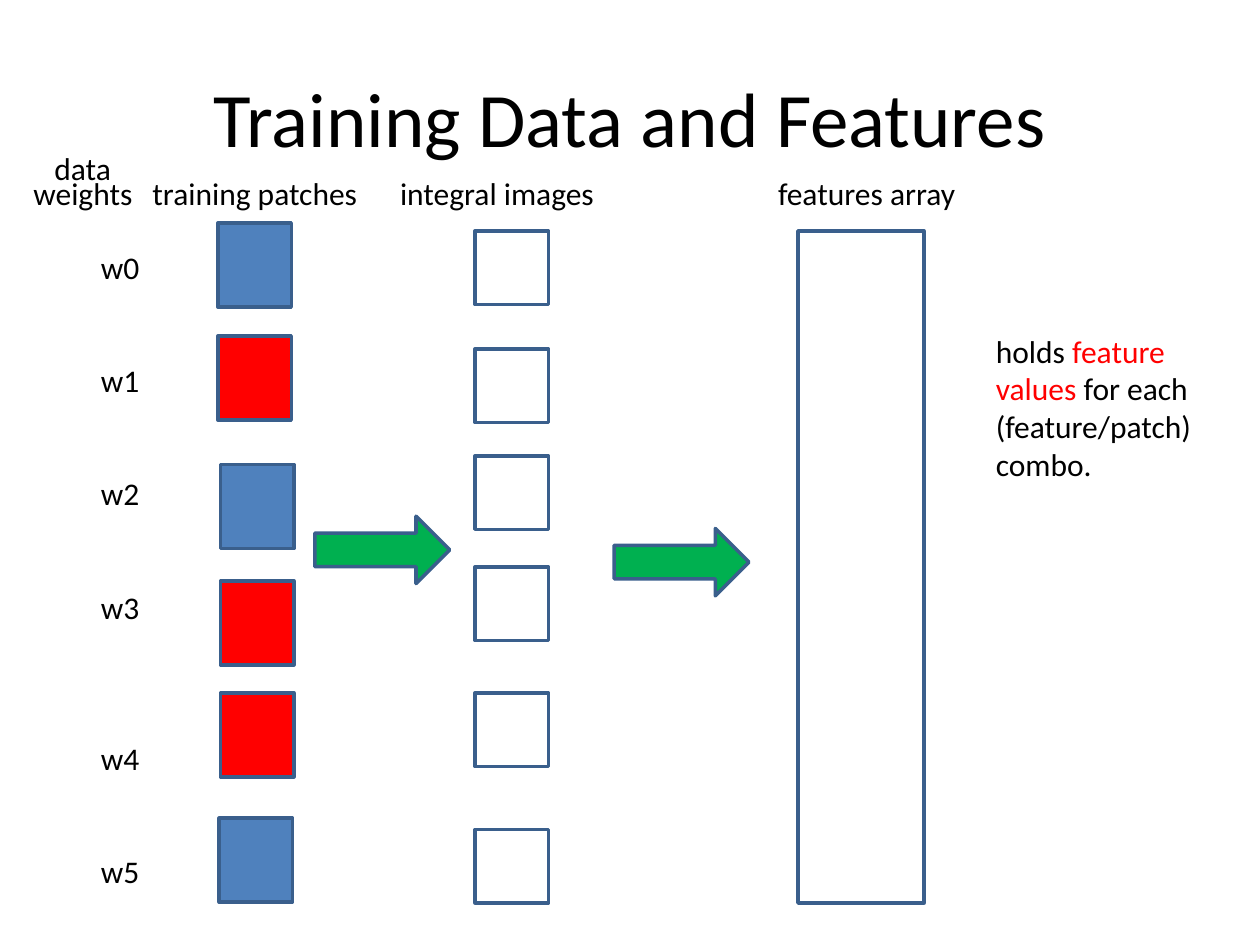
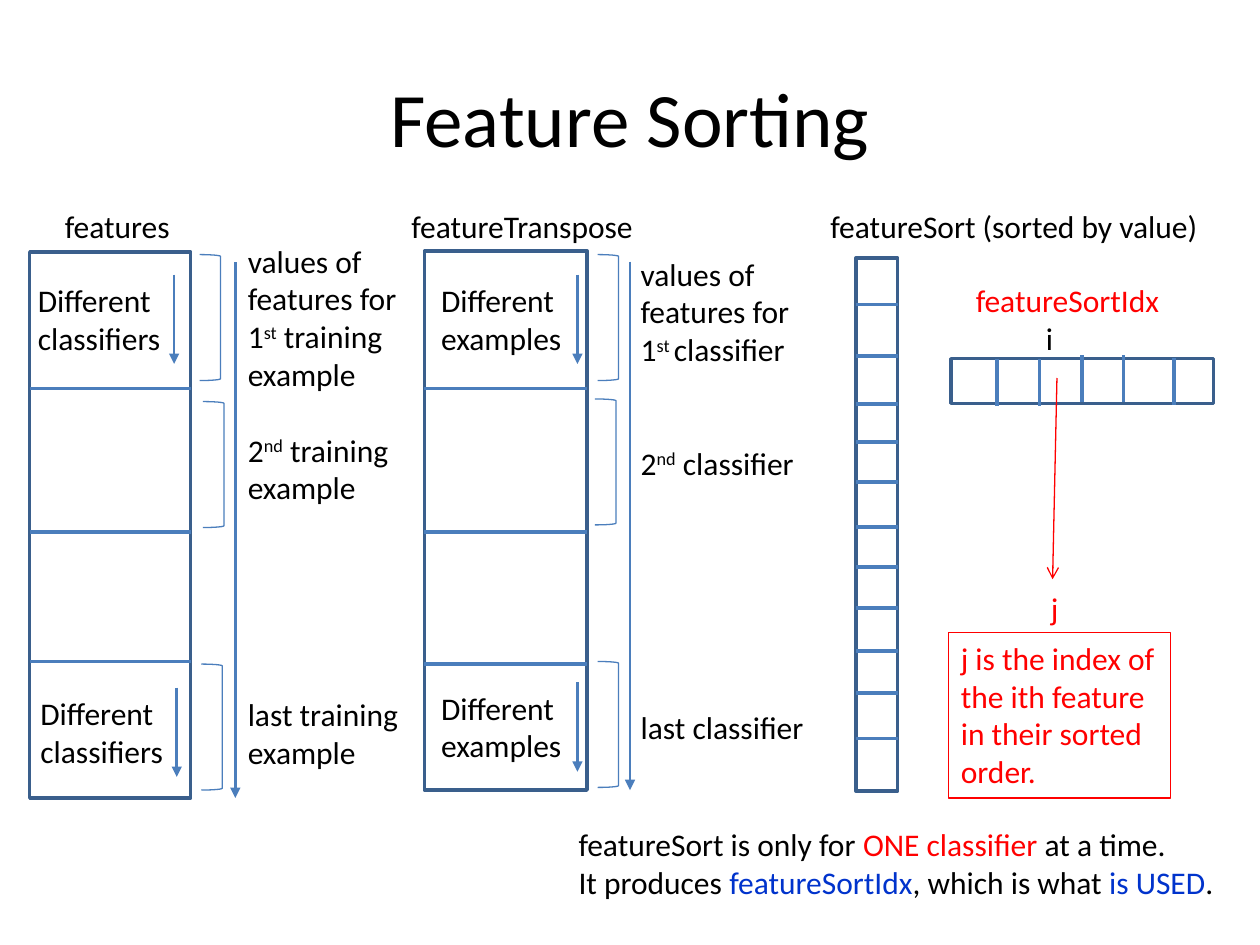
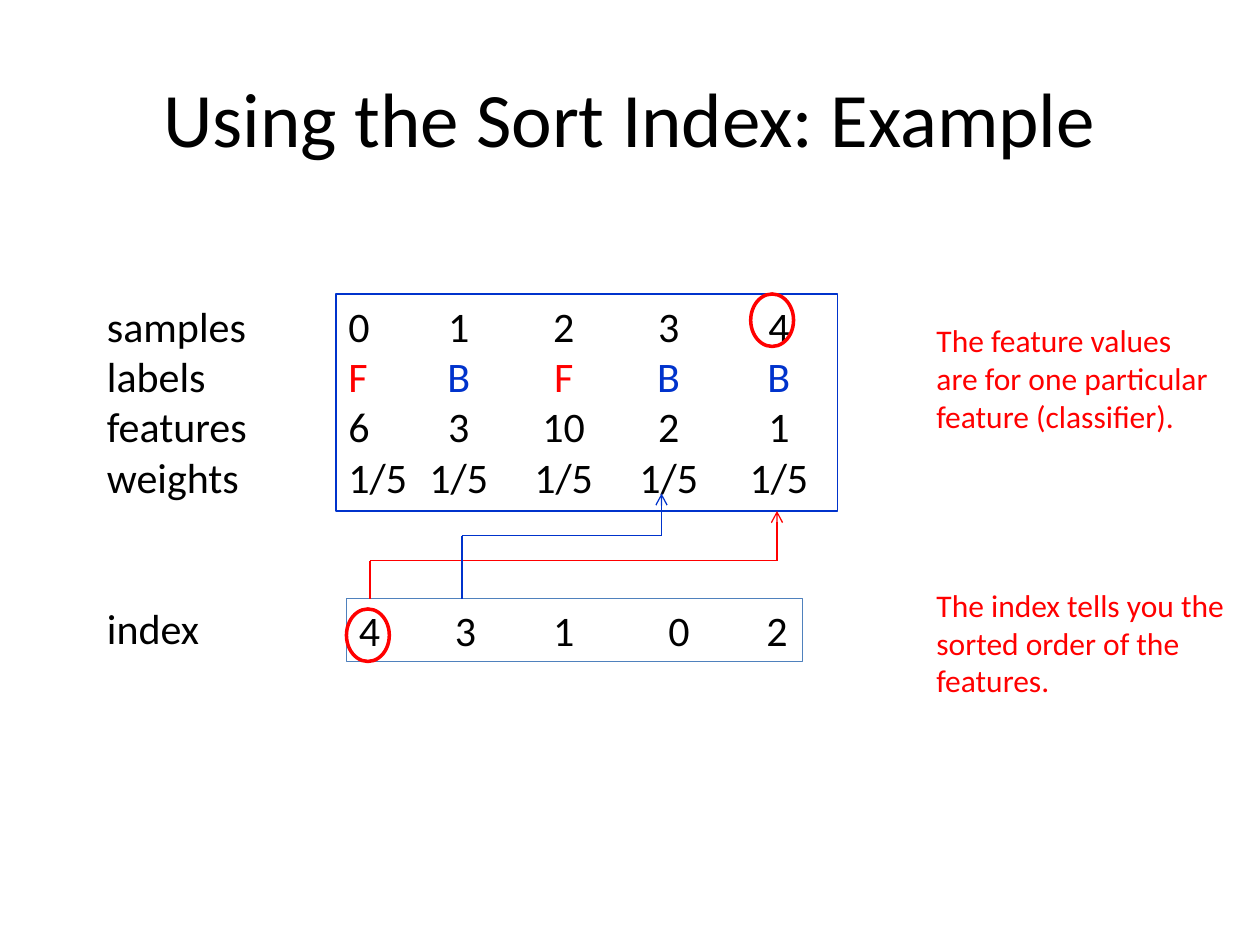
from itertools import pairwise

from lxml.etree import SubElement
from pptx import Presentation
from pptx.dml.color import RGBColor
from pptx.enum.shapes import MSO_CONNECTOR, MSO_SHAPE
from pptx.oxml.ns import qn
from pptx.util import Pt

COLORS = {
    "black": "000000",
    "red": "FF0000",
    "blue": "0033CC",
    "patch": "4F81BD",
    "outline": "3A5F8C",
    "rule": "4B7EBC",
    "green": "00B050",
}
FONT = "Calibri"
TITLE_SIZE, TEXT_SIZE, TABLE_SIZE = 44, 18, 24
LINE_HEIGHT = 1.2


def rgb(name):
    return RGBColor.from_string(COLORS[name])


# Shared helpers
def add_titled_slide(presentation, title):
    slide = presentation.slides.add_slide(presentation.slide_layouts[5])
    shape = slide.shapes.title
    shape.left, shape.top, shape.width, shape.height = Pt(36), Pt(21.6), Pt(648), Pt(90)
    shape.text_frame.text = title
    style_font(shape.text_frame.paragraphs[0].font, TITLE_SIZE, "black")
    return slide


def style_font(font, size, color):
    font.name = FONT
    font.size = Pt(size)
    font.color.rgb = rgb(color)


def add_tabs(paragraph, stops, alignment):
    tab_list = SubElement(paragraph._p.get_or_add_pPr(), qn("a:tabLst"))
    for stop in stops:
        SubElement(tab_list, qn("a:tab"), pos=str(int(Pt(stop))), algn=alignment)


def add_text(slide, left, top, width, height, lines, size=TEXT_SIZE, color="black",
             tabs=(), alignment="l", border=None):
    """Each line is a string or a list of (text, color, raised); a number leaves that many lines free."""
    box = slide.shapes.add_textbox(Pt(left), Pt(top), Pt(width), Pt(height))
    if border:
        box.line.color.rgb = rgb(border)
        box.line.width = Pt(0.75)
    frame = box.text_frame
    frame.word_wrap = True
    frame.margin_right = 0
    gap, paragraph = 0, None
    for line in lines:
        if isinstance(line, int):
            gap = line
            continue
        paragraph = frame.add_paragraph() if paragraph else frame.paragraphs[0]
        if tabs:
            add_tabs(paragraph, tabs, alignment)
        if gap:
            paragraph.space_before = Pt(gap * size * LINE_HEIGHT)
            gap = 0
        style_font(paragraph.font, size, color)
        for text, run_color, raised in [(line, color, False)] if isinstance(line, str) else line:
            run = paragraph.add_run()
            run.text = text
            if run_color != color:
                run.font.color.rgb = rgb(run_color)
            if raised:
                run._r.get_or_add_rPr().set("baseline", "30000")
    return box


def add_figure(slide, kind, left, top, width, height, fill=None, line="outline", weight=2):
    shape = slide.shapes.add_shape(kind, Pt(left), Pt(top), Pt(width), Pt(height))
    shape.shadow.inherit = False
    if fill:
        shape.fill.solid()
        shape.fill.fore_color.rgb = rgb(fill)
    else:
        shape.fill.background()
    shape.line.color.rgb = rgb(line)
    shape.line.width = Pt(weight)
    return shape


def add_line(slide, start, end, color="rule", weight=2.25, head=None):
    points = [Pt(value) for value in (*start, *end)]
    connector = slide.shapes.add_connector(MSO_CONNECTOR.STRAIGHT, *points)
    connector.line.color.rgb = rgb(color)
    connector.line.width = Pt(weight)
    if head:
        SubElement(connector.line._get_or_add_ln(), qn("a:tailEnd"), type=head)
    SubElement(connector._element.spPr, qn("a:effectLst"))


def ordinal(number, suffix, rest):
    return [(number, "black", False), (suffix, "black", True), (rest, "black", False)]


# Training data slide
def add_weights(slide, left, top):
    add_text(slide, left, top, 37, 378, ["w0", 2, "w1", 2, "w2", 2, "w3", 3, "w4", 2, "w5"])


def add_patches(slide, left, top):
    patches = [(0, 0, "patch"), (0, 64.5, "red"), (1.5, 138, "patch"),
               (1.5, 204.5, "red"), (1.5, 268.5, "red"), (0.75, 340, "patch")]
    for x, y, fill in patches:
        add_figure(slide, MSO_SHAPE.RECTANGLE, left + x, top + y, 42, 48, fill)


def add_integral_images(slide, left, top):
    for y in (0, 67.5, 128.5, 192, 264, 342):
        add_figure(slide, MSO_SHAPE.RECTANGLE, left, top + y, 42, 42)


def build_training_slide(presentation):
    slide = add_titled_slide(presentation, "Training Data and Features")
    add_text(slide, 24, 81.5, 48, 29, ["data"])
    add_text(slide, 12, 96, 550, 29,
             ["weights\ttraining patches\tintegral images\tfeatures array"], tabs=(68, 209.5, 425.5))
    add_weights(slide, 50.5, 138)
    add_patches(slide, 124.5, 127.5)
    add_integral_images(slide, 271.5, 132)
    add_figure(slide, MSO_SHAPE.RECTANGLE, 456, 132, 72, 384)
    for left, top in ((180, 295), (351, 302)):
        add_figure(slide, MSO_SHAPE.RIGHT_ARROW, left, top, 77, 38.5, "green")
    add_text(slide, 562, 186, 128, 94, [
        [("holds ", "black", False), ("feature", "red", False)],
        [("values ", "red", False), ("for each", "black", False)],
        "(feature/patch)",
        "combo.",
    ])


# Feature sorting slide
def add_value_column(slide, left, top, width, height, dividers, cells, entry, brackets, scan):
    """A divided array with inner arrows, brackets and a long arrow beside it."""
    add_figure(slide, MSO_SHAPE.RECTANGLE, left, top, width, height)
    for y in dividers:
        add_line(slide, (left, top + y), (left + width, top + y))
    for x, y in cells:
        add_text(slide, left + x, top + y, 85, 51, ["Different", entry])
        arrow = left + x + 85
        add_line(slide, (arrow, top + y), (arrow, top + y + 51), weight=1.5, head="triangle")
    for x, y in brackets:
        add_figure(slide, MSO_SHAPE.RIGHT_BRACKET, left + width + x, top + y, 12, 72,
                   line="rule", weight=0.75)
    add_line(slide, (left + scan, top + 6), (left + scan, top + height), weight=1.5, head="triangle")


def add_sorted_array(slide, left, top, width, height):
    add_figure(slide, MSO_SHAPE.RECTANGLE, left, top, width, height)
    for y in (26.5, 56, 83.5, 105, 128, 153.5, 176.5, 200, 224.5, 248.5, 274.5):
        add_line(slide, (left + width, top + y), (left, top + y))


def add_index_array(slide, left, top, width, height):
    add_figure(slide, MSO_SHAPE.RECTANGLE, left, top, width, height)
    for x, y in ((26, 0), (50.5, 0), (75, -2), (98.5, -2), (127.5, -0.5)):
        add_line(slide, (left + x, top + y), (left + x, top + y + 27))
    add_text(slide, left + 7, top - 48, 120, 51,
             [[("featureSortIdx", "red", False)], "\ti"], tabs=(40,))
    add_line(slide, (left + 60.5, top + 11), (left + 58, top + 126), "red", 0.75, "arrow")
    add_text(slide, left + 50, top + 128, 36, 29, ["j"], color="red")
    add_text(slide, left - 1.5, top + 156.5, 127, 94.5,
             ["j is the index of", "the ith feature", "in their sorted", "order."],
             color="red", border="red")


def build_sorting_slide(presentation):
    slide = add_titled_slide(presentation, "Feature Sorting")
    add_text(slide, 30, 114.5, 673, 29,
             ["features\tfeatureTranspose\tfeatureSort (sorted by value)"], tabs=(198, 437.5))
    add_value_column(slide, 17, 144, 92, 312, (78, 160, 234), ((-2.5, 13), (-1, 249)),
                     "classifiers", ((5, 1.5), (7, 85.5), (6, 235.5)), 117.5)
    add_text(slide, 134.5, 134.5, 101.5, 312.5, [
        "values of", "features for", ordinal("1", "st", " training"), "example",
        1, ordinal("2", "nd", " training"), "example",
        5, "last training", "example",
    ])
    add_value_column(slide, 242.5, 143.5, 93, 308, (78.5, 160.5, 236), ((2.5, 13.5), (2.5, 246.5)),
                     "examples", ((6, 2), (4.5, 84.5), (6, 234.5)), 117.5)
    add_text(slide, 359, 142, 109, 291, [
        "values of", "features for", ordinal("1", "st ", "classifier"),
        2, ordinal("2", "nd", " classifier"),
        6, "last classifier",
    ])
    add_sorted_array(slide, 489, 147.5, 24, 304.5)
    add_index_array(slide, 543.5, 205, 150, 25.5)
    add_text(slide, 323.5, 468, 381, 51, [
        [("featureSort is only for ", "black", False), ("ONE classifier ", "red", False),
         ("at a time.", "black", False)],
        [("It produces ", "black", False), ("featureSortIdx", "blue", False),
         (", which is what ", "black", False), ("is USED", "blue", False), (".", "black", False)],
    ])


# Sort index slide
def add_sample_box(slide, left, top):
    labels = [("F\t", "red", False), ("B\t", "blue", False), ("F\t", "red", False),
              ("B\tB", "blue", False)]
    rows = ["0\t1\t2\t3\t4", labels, "6\t3\t10\t2\t1", "1/5\t1/5\t1/5\t1/5\t1/5"]
    add_text(slide, left, top, 286.5, 124, rows, TABLE_SIZE,
             tabs=(63, 123, 183, 246), alignment="ctr", border="blue")
    add_ring(slide, left + 237, top)


def add_index_box(slide, left, top):
    add_text(slide, left, top, 260.5, 36, ["4\t3\t1\t0\t2"], TABLE_SIZE,
             tabs=(61, 117, 183, 239), alignment="ctr", border="patch")
    add_ring(slide, left, top + 6)


def add_ring(slide, left, top):
    add_figure(slide, MSO_SHAPE.OVAL, left, top, 24.5, 30, line="red")


def add_elbow(slide, start, turn, end, color):
    points = [start, (start[0], turn), (end[0], turn), end]
    for number, (first, second) in enumerate(pairwise(points)):
        add_line(slide, first, second, color, 0.75, "arrow" if number == 2 else None)


def build_example_slide(presentation):
    slide = add_titled_slide(presentation, "Using the Sort Index: Example")
    add_text(slide, 54, 168, 96, 269,
             ["samples", "labels", "features", "weights", 2, "index"], TABLE_SIZE)
    add_sample_box(slide, 192, 168)
    add_index_box(slide, 198, 342)
    add_elbow(slide, (211.5, 342), 320.5, (444, 292), "red")
    add_elbow(slide, (264, 342), 306, (378, 282), "blue")
    add_text(slide, 528, 180, 181, 225, [
        "The feature values", "are for one particular", "feature (classifier).",
        4, "The index tells you the", "sorted order of the", "features.",
    ], color="red")


presentation = Presentation()
presentation.slide_width, presentation.slide_height = Pt(720), Pt(540)
build_training_slide(presentation)
build_sorting_slide(presentation)
build_example_slide(presentation)
presentation.save("out.pptx")
